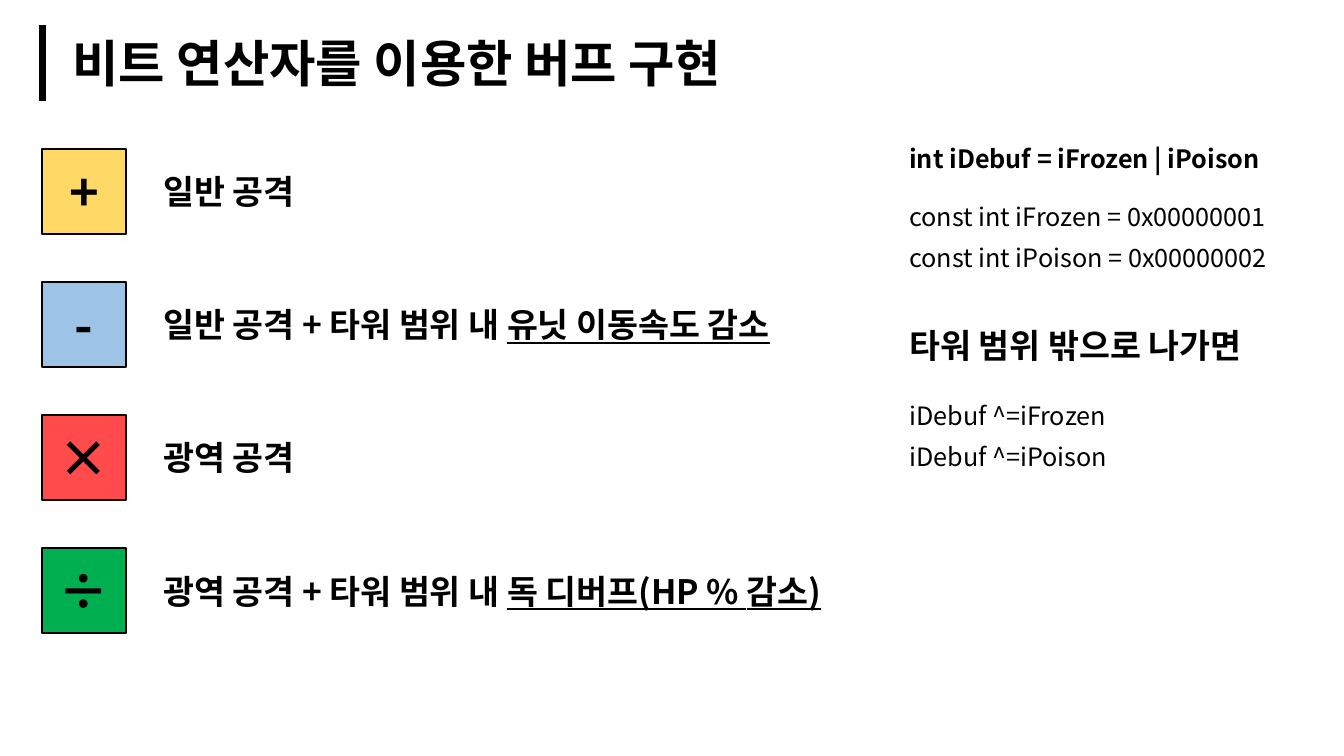
from lxml.etree import SubElement
from pptx import Presentation
from pptx.dml.color import RGBColor
from pptx.enum.shapes import MSO_CONNECTOR, MSO_SHAPE
from pptx.enum.text import MSO_ANCHOR, MSO_AUTO_SIZE, PP_ALIGN
from pptx.oxml.ns import qn
from pptx.util import Inches, Pt

BLACK = RGBColor(0x00, 0x00, 0x00)
YELLOW = RGBColor(0xFF, 0xD9, 0x66)
BLUE = RGBColor(0x9D, 0xC3, 0xE6)
RED = RGBColor(0xFF, 0x4B, 0x4B)
GREEN = RGBColor(0x00, 0xB0, 0x50)
FONT = "Noto Sans CJK KR"


class SlideBuilder:
    """Hold the text style and the current slide, and add elements to it."""

    def __init__(self, s):
        self.s = s

    def add_runs(self, tf, runs, size, bold=True, align=PP_ALIGN.LEFT):
        p = tf.paragraphs[0]
        p.alignment = align
        for text, underline in runs:
            r = p.add_run()
            r.text = text
            style = {"name": FONT, "size": Pt(size), "bold": bold, "underline": underline}
            for key, value in style.items():
                setattr(r.font, key, value)
            r.font.color.rgb = BLACK
            SubElement(r._r.get_or_add_rPr(), qn("a:ea"), typeface=FONT)

    def title(self, text, x, y, w, h):
        sp = self.s.shapes.title
        box = {"left": x, "top": y, "width": w, "height": h}
        for key, value in box.items():
            setattr(sp, key, Inches(value))
        tf = sp.text_frame
        tf.auto_size = MSO_AUTO_SIZE.NONE
        tf.vertical_anchor = MSO_ANCHOR.TOP
        self.add_runs(tf, [(text, None)], 36)

    def bar(self, x, top, bottom):
        line = self.s.shapes.add_connector(
            MSO_CONNECTOR.STRAIGHT, Inches(x), Inches(top), Inches(x), Inches(bottom))
        line.line.color.rgb = BLACK
        line.line.width = Pt(5)
        SubElement(line._element.spPr, qn("a:effectLst"))

    def tile(self, symbol, color, x, y, w, h):
        sp = self.s.shapes.add_shape(
            MSO_SHAPE.RECTANGLE, Inches(x), Inches(y), Inches(w), Inches(h))
        sp.shadow.inherit = False
        sp.fill.solid()
        sp.fill.fore_color.rgb = color
        sp.line.color.rgb = BLACK
        sp.line.width = Pt(1.5)
        sp.text_frame.vertical_anchor = MSO_ANCHOR.MIDDLE
        self.add_runs(sp.text_frame, [(symbol, None)], 36, align=PP_ALIGN.CENTER)

    def text(self, runs, x, y, w, size=24, bold=True):
        h = 0.5 if size == 24 else 0.4
        sp = self.s.shapes.add_textbox(Inches(x), Inches(y), Inches(w), Inches(h))
        tf = sp.text_frame
        tf.word_wrap = False
        tf.auto_size = MSO_AUTO_SIZE.SHAPE_TO_FIT_TEXT
        self.add_runs(tf, runs, size, bold)


def main():
    prs = Presentation()
    prs.slide_width, prs.slide_height = Inches(13.33), Inches(7.5)
    slide = SlideBuilder(prs.slides.add_slide(prs.slide_layouts[5]))

    slide.title("비트 연산자를 이용한 버프 구현", 0.62, 0.27, 7.42, 0.71)
    slide.bar(0.42, 0.25, 1)

    towers = [
        ("+", YELLOW, 1.67, [("일반 공격", None)]),
        ("-", BLUE, 7.12, [("일반 공격 + 타워 범위 내 ", None), ("유닛 이동속도 감소", True)]),
        ("×", RED, 1.67, [("광역 공격", None)]),
        ("÷", GREEN, 7.57, [("광역 공격 + 타워 범위 내 ", None), ("독 디버프(HP % 감소)", True)]),
    ]
    for i, (symbol, color, width, runs) in enumerate(towers):
        y = 1.48 + 1.32 * i
        slide.tile(symbol, color, 0.42, y, 0.83, 0.84)
        slide.text(runs, 1.52, y + 0.17, width)

    notes = [
        ("int iDebuf = iFrozen | iPoison", 1.37, 3.78, 18, True),
        ("const int iFrozen = 0x00000001", 1.95, 3.83, 18, False),
        ("const int iPoison = 0x00000002", 2.35, 3.82, 18, False),
        ("타워 범위 밖으로 나가면", 3.17, 3.93, 24, True),
        ("iDebuf ^=iFrozen", 3.92, 2.22, 18, False),
        ("iDebuf ^=iPoison", 4.33, 2.21, 18, False),
    ]
    for text, y, width, size, bold in notes:
        slide.text([(text, None)], 8.92, y, width, size, bold)

    prs.save("out.pptx")


if __name__ == "__main__":
    main()
